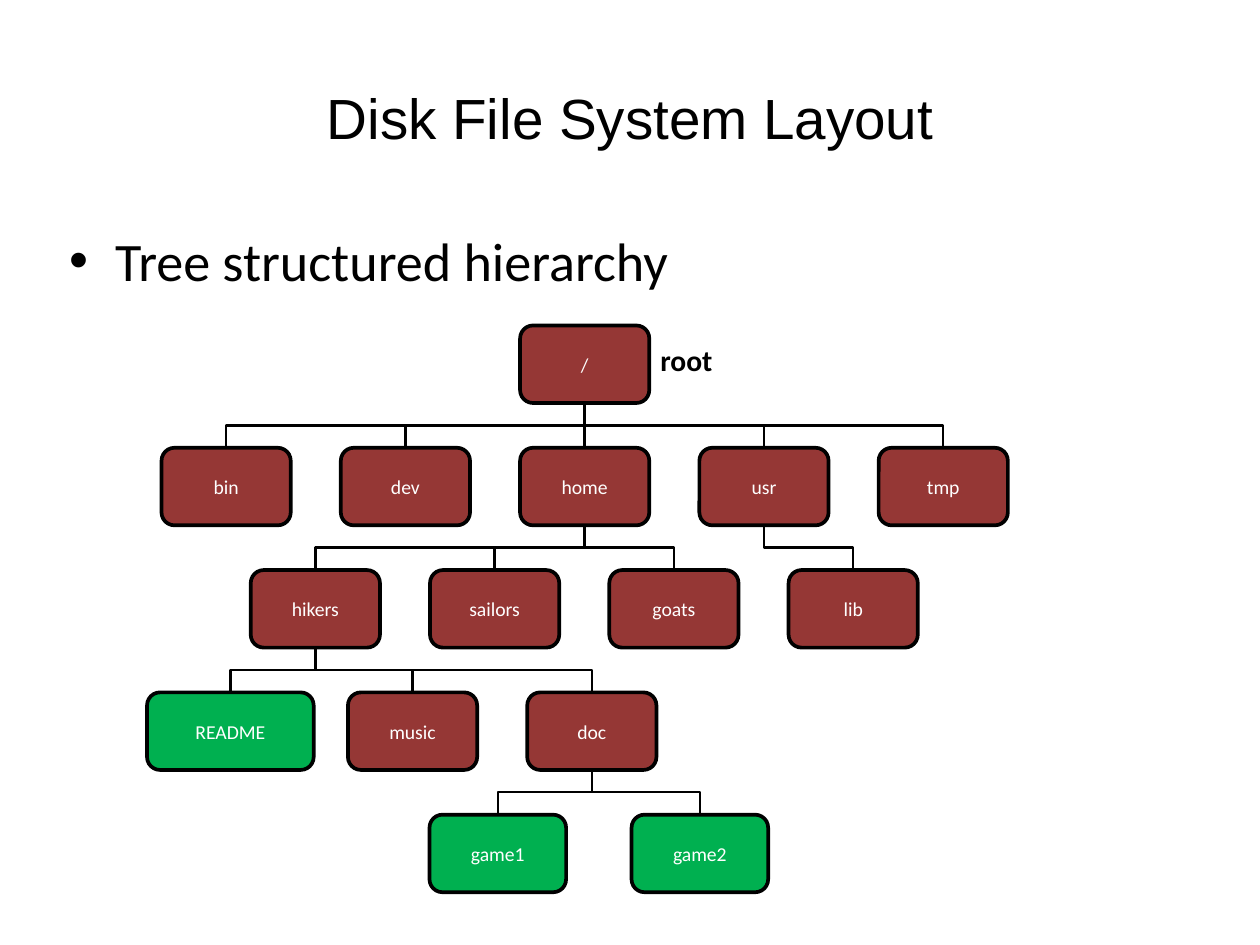
from dataclasses import dataclass
from typing import Optional

from lxml import etree
from pptx import Presentation
from pptx import util as u
from pptx.dml.color import RGBColor
from pptx.enum import shapes, text
from pptx.oxml.ns import qn

BLACK, WHITE, RED, GREEN = "000000", "FFFFFF", "953735", "00B050"
INSET = 5.2
BOX_W, BOX_H = 105, 63
TOP, ROW_STEP = 264.5, 99.4
ROOT_X, COL_STEP = 475.2, 145.7
THIRD_X, DOC_X = 256.3, 481


@dataclass
class Node:
    """A directory or file in the tree, placed by its centre."""
    name: str
    x: float
    parent: Optional["Node"] = None
    width: float = BOX_W
    fill: str = RED

    @property
    def top(self) -> float:
        """Upper edge, one row below the parent."""
        return self.parent.top + ROW_STEP if self.parent else TOP


def rgb(value: str) -> RGBColor:
    """Turn a hex string into a colour."""
    return RGBColor.from_string(value)


def write(sp, words: str, *, size: float, font: str = "Calibri",
          color: str = BLACK, bold: bool = False,
          align=text.PP_ALIGN.LEFT, anchor=text.MSO_ANCHOR.TOP):
    """Put one formatted paragraph into a shape and return it."""
    tf = sp.text_frame
    tf.word_wrap = True
    tf.auto_size = text.MSO_AUTO_SIZE.NONE
    tf.vertical_anchor = anchor
    tf.margin_left = tf.margin_right = u.Pt(INSET)
    tf.margin_top = tf.margin_bottom = u.Pt(INSET)
    p = tf.paragraphs[0]
    p.alignment = align
    r = p.add_run()
    r.text = words
    r.font.name, r.font.size, r.font.bold = font, u.Pt(size), bold
    r.font.color.rgb = rgb(color)
    return p


def add_bullet(p, indent: float) -> None:
    """Give a paragraph a hanging round bullet."""
    pPr = p._p.get_or_add_pPr()
    pPr.set("marL", str(u.Pt(indent)))
    pPr.set("indent", str(-u.Pt(indent)))
    etree.SubElement(pPr, qn("a:buFont")).set("typeface", "Arial")
    etree.SubElement(pPr, qn("a:buChar")).set("char", "•")


def draw_node(s, node: Node) -> None:
    """Draw a node as a rounded box with its name."""
    sp = s.shapes.add_shape(
        shapes.MSO_SHAPE.ROUNDED_RECTANGLE, u.Pt(node.x - node.width / 2),
        u.Pt(node.top), u.Pt(node.width), u.Pt(BOX_H))
    sp.shadow.inherit = False
    sp.fill.solid()
    sp.fill.fore_color.rgb = rgb(node.fill)
    sp.line.color.rgb = rgb(BLACK)
    sp.line.width = u.Pt(3)
    write(sp, node.name, size=16, color=WHITE, align=text.PP_ALIGN.CENTER,
          anchor=text.MSO_ANCHOR.MIDDLE)


def draw_branch(s, node: Node) -> None:
    """Join a node to its parent: straight if aligned, else an elbow."""
    x1, y1 = u.Pt(node.parent.x), u.Pt(node.parent.top + BOX_H)
    x2, y2 = u.Pt(node.x), u.Pt(node.top)
    if x1 == x2:
        sp = s.shapes.add_connector(
            shapes.MSO_CONNECTOR.STRAIGHT, x1, y1, x2, y2)
        etree.SubElement(sp._element.spPr, qn("a:effectLst"))
    else:
        mid = (y1 + y2) // 2
        path = s.shapes.build_freeform(x1, y1)
        path.add_line_segments([(x1, mid), (x2, mid), (x2, y2)], close=False)
        sp = path.convert_to_shape()
        sp.shadow.inherit = False
        sp.fill.background()
    sp.line.color.rgb = rgb(BLACK)
    sp.line.width = u.Pt(2)


def build_tree() -> list[Node]:
    """List the nodes of the file system, parents first."""
    root = Node("/", ROOT_X)
    top_level = [Node(name, ROOT_X + (i - 2) * COL_STEP, root)
                 for i, name in enumerate(["bin", "dev", "home", "usr", "tmp"])]
    home, usr = top_level[2:4]
    users = [Node(name, THIRD_X + i * COL_STEP, home)
             for i, name in enumerate(["hikers", "sailors", "goats"])]
    lib = Node("lib", THIRD_X + 3 * COL_STEP, usr)
    readme = Node("README", 187.2, users[0], 135.4, GREEN)
    music = Node("music", DOC_X - COL_STEP, users[0])
    doc = Node("doc", DOC_X, users[0])
    games = [Node(name, x, doc, 111, GREEN)
             for name, x in [("game1", 404.6), ("game2", 568.8)]]
    return [root, *top_level, *users, lib, readme, music, doc, *games]


prs = Presentation()
prs.slide_width, prs.slide_height = u.Pt(1024), u.Pt(768)
s = prs.slides.add_slide(prs.slide_layouts[5])

title = s.shapes.title
title.left, title.top = u.Pt(51), u.Pt(31)
title.width, title.height = u.Pt(922), u.Pt(128)
write(title, "Disk File System Layout", size=46, font="Arial",
      align=text.PP_ALIGN.CENTER, anchor=text.MSO_ANCHOR.MIDDLE)

body = s.shapes.add_textbox(u.Pt(51), u.Pt(179.3), u.Pt(922), u.Pt(75))
point = write(body, "Tree structured hierarchy", size=44)
point.space_before = u.Pt(10)
add_bullet(point, 37.5)

label = s.shapes.add_textbox(u.Pt(531.4), u.Pt(273), u.Pt(68.4), u.Pt(38.2))
write(label, "root", size=24, bold=True)

tree = build_tree()
for node in tree:
    if node.parent:
        draw_branch(s, node)
for node in tree:
    draw_node(s, node)

prs.save("out.pptx")
